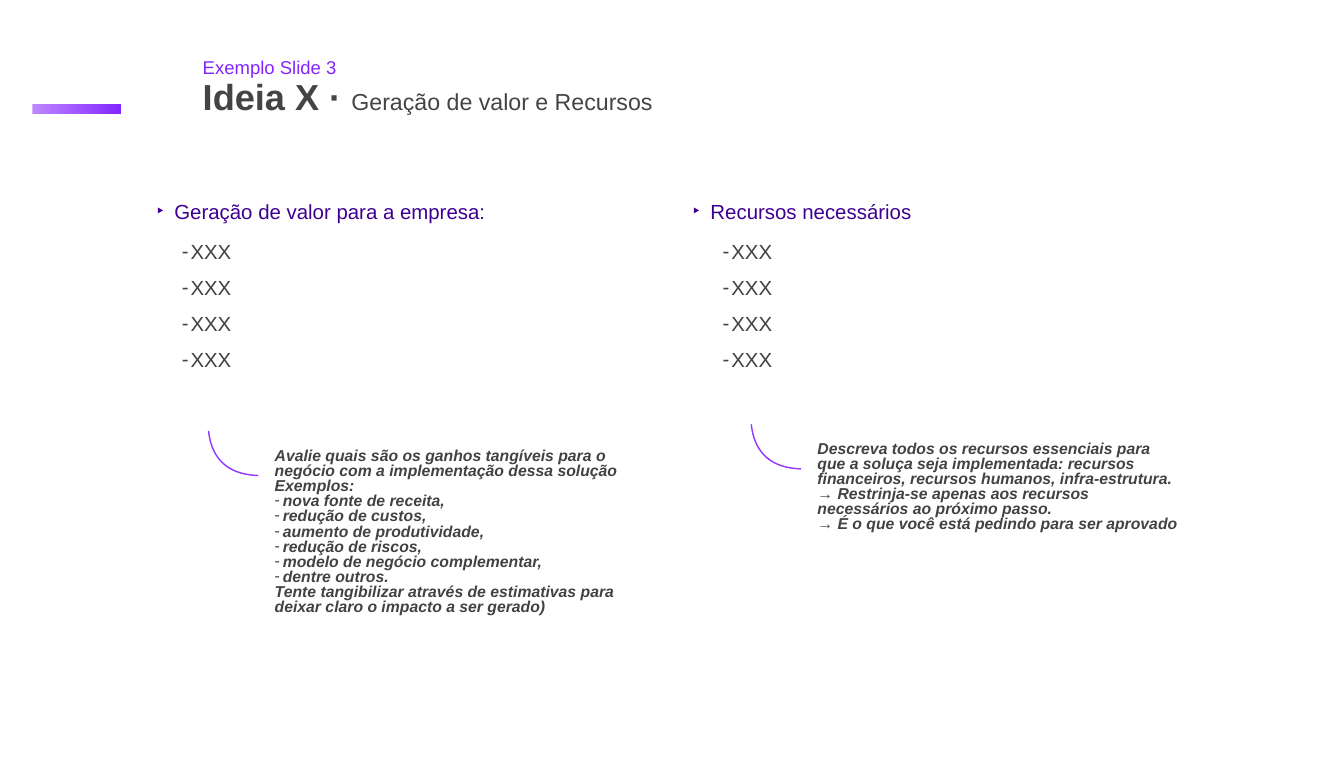
import dataclasses

import lxml.etree
import pptx
import pptx.dml.color
import pptx.enum.shapes
import pptx.enum.text
import pptx.oxml.ns
import pptx.util


@dataclasses.dataclass(frozen=True)
class Theme:
    font: str = "Arial"
    purple: str = "8325FF"
    lilac: str = "BD88FF"
    violet: str = "9437FF"
    indigo: str = "3F0092"
    title_gray: str = "444444"
    body_gray: str = "424242"
    eyebrow_size: float = 26.3
    title_size: float = 51.4
    subtitle_size: float = 32.9
    body_size: float = 29
    note_size: float = 22.4


theme = Theme()
color = pptx.dml.color.RGBColor.from_string
presentation = pptx.Presentation()
presentation.slide_width = pptx.util.Inches(26.52)
presentation.slide_height = pptx.util.Inches(15)
slide = presentation.slides.add_slide(presentation.slide_layouts[5])

# The grid has 100 columns and 100 rows; every box is left, top, width, height.
column = presentation.slide_width / 100
row = presentation.slide_height / 100


def place_text(shape, box, inset_x, inset_y):
    """Put a text shape on the grid and return its formatted text frame."""
    left, top, width, height = box
    shape.left, shape.width = int(left * column), int(width * column)
    shape.top, shape.height = int(top * row), int(height * row)
    frame = shape.text_frame
    frame.word_wrap = True
    frame.auto_size = pptx.enum.text.MSO_AUTO_SIZE.SHAPE_TO_FIT_TEXT
    frame.vertical_anchor = pptx.enum.text.MSO_ANCHOR.MIDDLE
    frame.margin_left = frame.margin_right = pptx.util.Inches(inset_x)
    frame.margin_top = frame.margin_bottom = pptx.util.Inches(inset_y)
    return frame


def write_paragraph(frame, runs, spacing=1.0, before=0, bullet=None):
    """Add runs of (text, size, color, bold, italic); bullet is (character, margin, indent)."""
    paragraph = frame.paragraphs[0]
    if paragraph.runs:
        paragraph = frame.add_paragraph()
    paragraph.alignment = pptx.enum.text.PP_ALIGN.LEFT
    paragraph.line_spacing = spacing
    paragraph.space_before = pptx.util.Pt(before)
    for text, size, rgb, bold, italic in runs:
        run = paragraph.add_run()
        run.text = text
        run.font.name = theme.font
        run.font.size = pptx.util.Pt(size)
        run.font.color.rgb = color(rgb)
        run.font.bold, run.font.italic = bold, italic
    if bullet:
        character, margin, indent = bullet
        qn = pptx.oxml.ns.qn
        properties = paragraph._p.get_or_add_pPr()
        properties.set("marL", str(pptx.util.Inches(margin)))
        properties.set("indent", str(pptx.util.Inches(indent)))
        bullet_color = lxml.etree.SubElement(properties, qn("a:buClr"))
        lxml.etree.SubElement(bullet_color, qn("a:srgbClr"), val=runs[0][2])
        lxml.etree.SubElement(properties, qn("a:buFont"), typeface=theme.font)
        lxml.etree.SubElement(properties, qn("a:buChar"), char=character)


# Accent bar
bar = slide.shapes.add_shape(
    pptx.enum.shapes.MSO_SHAPE.RECTANGLE,
    int(2.4 * column), int(13.73 * row), int(6.64 * column), int(1.33 * row))
bar.shadow.inherit = False
bar.line.fill.background()
bar.fill.gradient()
bar.fill.gradient_angle = 0
for stop, rgb in zip(bar.fill.gradient_stops, (theme.lilac, theme.purple)):
    stop.color.rgb = color(rgb)

# Header
eyebrow = place_text(slide.shapes.add_textbox(0, 0, 0, 0), (14.82, 7.33, 11.24, 3.4), 0.07, 0.05)
write_paragraph(eyebrow, [("Exemplo Slide 3", theme.eyebrow_size, theme.purple, False, False)], 0.9)
title = place_text(slide.shapes.title, (14.82, 10.6, 36.61, 5.33), 0.07, 0.05)
write_paragraph(title, [
    ("Ideia X · ", theme.title_size, theme.title_gray, True, False),
    ("Geração de valor e Recursos", theme.subtitle_size, theme.title_gray, False, False),
], 0.75)

# Each section: heading, its left, list left, note box, note lines (text, bulleted)
sections = [
    ("Geração de valor para a empresa:", 11.54, 13.42, (20.1, 58.4, 27.9, 23.33), [
        ("Avalie quais são os ganhos tangíveis para o negócio com a implementação dessa solução", False),
        ("Exemplos:", False),
        ("nova fonte de receita,", True),
        ("redução de custos,", True),
        ("aumento de produtividade,", True),
        ("redução de riscos,", True),
        ("modelo de negócio complementar,", True),
        ("dentre outros.", True),
        ("Tente tangibilizar através de estimativas para deixar claro o impacto a ser gerado)", False),
    ]),
    ("Recursos necessários", 51.43, 53.66, (60.48, 57.53, 27.9, 13.27), [
        ("Descreva todos os recursos essenciais para que a soluça seja implementada: "
         "recursos financeiros, recursos humanos, infra-estrutura.", False),
        ("→ Restrinja-se apenas aos recursos necessários ao próximo passo.", False),
        ("→ É o que você está pedindo para ser aprovado", False),
    ]),
]
curve_width, curve_height = 3.7, 5.87
curve_steps = 24

for heading, heading_left, list_left, note_box, note_lines in sections:
    frame = place_text(slide.shapes.add_textbox(0, 0, 0, 0), (heading_left, 26, 34.01, 3.67), 0.03, 0.03)
    write_paragraph(frame, [(heading, theme.body_size, theme.indigo, False, False)],
                    bullet=("‣", 0.35, -0.35))

    frame = place_text(slide.shapes.add_textbox(0, 0, 0, 0), (list_left, 31.47, 29.6, 17.73), 0.03, 0.03)
    for index in range(4):
        write_paragraph(frame, [("XXX", theme.body_size, theme.body_gray, False, False)], 0.9,
                        before=19.8 if index else 0, bullet=("-", 0.17, -0.2))

    frame = place_text(slide.shapes.add_textbox(0, 0, 0, 0), note_box, 0.09, 0.09)
    for text, bulleted in note_lines:
        write_paragraph(frame, [(text, theme.note_size, theme.body_gray, True, True)], 0.8,
                        bullet=("-", 0.16, -0.16) if bulleted else None)

    # Cubic curve from the note up to the list
    curve_left, curve_top = note_box[0] - 4.58, note_box[1] - 1.7
    points = []
    for step in range(curve_steps + 1):
        t = step / curve_steps
        x = (1 - t) ** 3 + 3 * t * (1 - t) ** 2 * 0.39 + 3 * t ** 2 * (1 - t) * 0.06
        y = (1 - t) ** 3 + 3 * t * (1 - t) ** 2 * 0.98 + 3 * t ** 2 * (1 - t) * 0.63
        points.append((int((curve_left + x * curve_width) * column),
                       int((curve_top + y * curve_height) * row)))
    builder = slide.shapes.build_freeform(*points[0])
    builder.add_line_segments(points[1:], close=False)
    curve = builder.convert_to_shape()
    curve.shadow.inherit = False
    curve.fill.background()
    curve.line.color.rgb = color(theme.violet)
    curve.line.width = pptx.util.Pt(2)

presentation.save("out.pptx")
